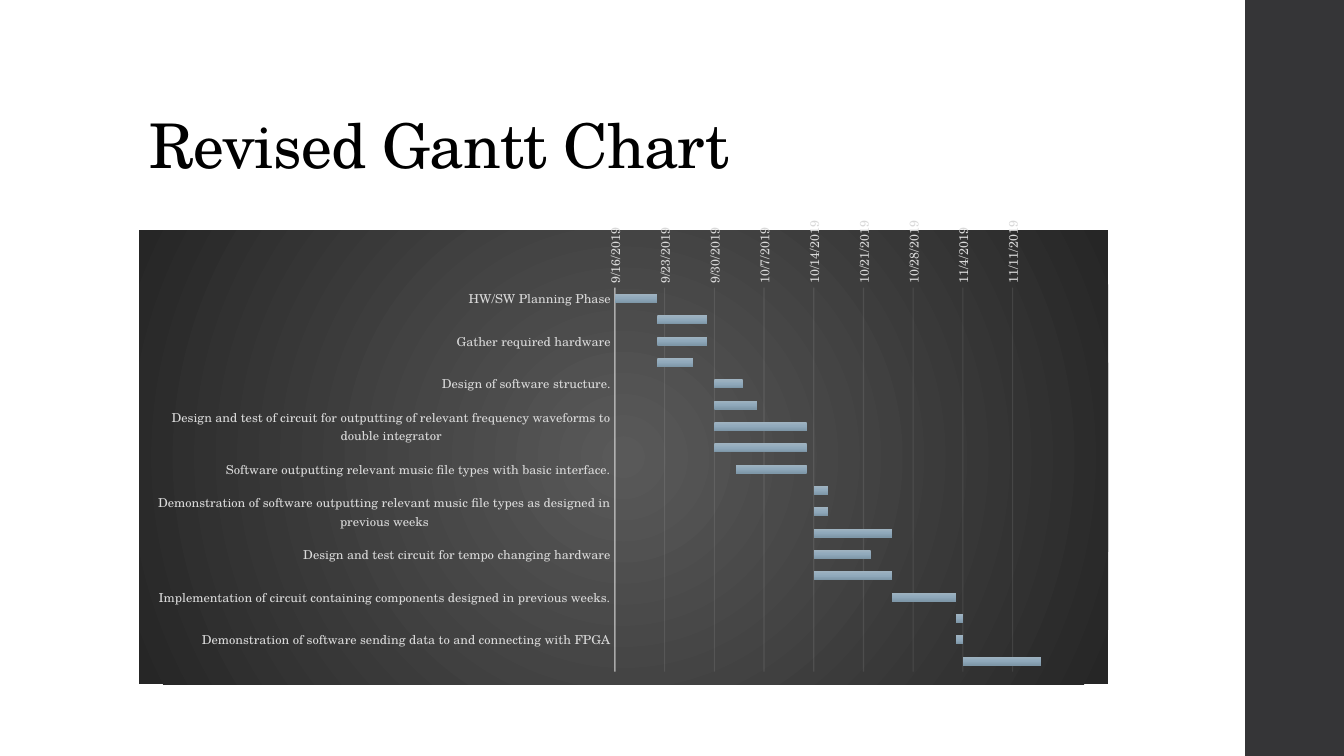
from typing import NamedTuple

import lxml.etree
import pptx
import pptx.chart.chart
import pptx.chart.data
import pptx.dml.color
import pptx.enum.chart
import pptx.enum.shapes
import pptx.enum.text
import pptx.oxml
import pptx.oxml.ns
import pptx.slide
import pptx.util

Inches = pptx.util.Inches
Pt = pptx.util.Pt
qn = pptx.oxml.ns.qn

FONT = "TeX Gyre Schola"
PROJECT_START = 43724  # 9/16/2019 as a day number
PROJECT_DAYS = 60


class Task(NamedTuple):
    offset: int  # days after the project start
    days: int
    label: str = ""


class Stop(NamedTuple):
    percent: int
    color: str


# Every second bar is unlabelled
TASKS = [
    Task(0, 6, "HW/SW Planning Phase"),
    Task(6, 7),
    Task(6, 7, "Gather required hardware"),
    Task(6, 5),
    Task(14, 4, "Design of software structure."),
    Task(14, 6),
    Task(14, 13, "Design and test of circuit for outputting of relevant frequency "
                 "waveforms to double integrator"),
    Task(14, 13),
    Task(17, 10, "Software outputting relevant music file types with basic interface."),
    Task(28, 2),
    Task(28, 2, "Demonstration of software outputting relevant music file types as "
                "designed in previous weeks"),
    Task(28, 11),
    Task(28, 8, "Design and test circuit for tempo changing hardware"),
    Task(28, 11),
    Task(39, 9, "Implementation of circuit containing components designed in "
                "previous weeks."),
    Task(48, 1),
    Task(48, 1, "Demonstration of software sending data to and connecting with FPGA"),
    Task(49, 11),
]

BACKDROP = [Stop(0, "595959"), Stop(100, "262626")]
BAR_SHADES = [Stop(0, "9FB3C1"), Stop(50, "90A9BB"), Stop(100, "7E97A8")]
RADIAL = ('<a:path path="circle">'
          '<a:fillToRect l="50000" t="50000" r="50000" b="50000"/></a:path>')
DOWNWARD = '<a:lin ang="5400000" scaled="0"/>'


def rgb(color: str) -> pptx.dml.color.RGBColor:
    return pptx.dml.color.RGBColor.from_string(color)


def gradient(stops: list[Stop], direction: str) -> lxml.etree._Element:
    shades = "".join(f'<a:gs pos="{stop.percent * 1000}">'
                     f'<a:srgbClr val="{stop.color}"/></a:gs>' for stop in stops)
    return pptx.oxml.parse_xml(
        f'<a:gradFill {pptx.oxml.ns.nsdecls("a")} rotWithShape="1">'
        f"<a:gsLst>{shades}</a:gsLst>{direction}</a:gradFill>")


def style_font(font, size: float, color: str) -> None:
    font.name = FONT
    font.size = Pt(size)
    font.color.rgb = rgb(color)


def style_line(line, width: float, color: str, opacity: int) -> None:
    line.width = Pt(width)
    line.color.rgb = rgb(color)
    swatch = next(line._ln.iter(qn("a:srgbClr")))
    lxml.etree.SubElement(swatch, qn("a:alpha")).set("val", str(opacity * 1000))


def add_side_band(slide: pptx.slide.Slide) -> None:
    band = slide.shapes.add_shape(pptx.enum.shapes.MSO_SHAPE.RECTANGLE,
                                  Inches(12.35), 0, Inches(0.98), Inches(7.5))
    band.shadow.inherit = False
    band.fill.solid()
    band.fill.fore_color.rgb = rgb("353537")
    band.line.fill.background()


def add_title(slide: pptx.slide.Slide, text: str) -> None:
    title = slide.shapes.add_textbox(Inches(1.38), Inches(0.4),
                                     Inches(10.6), Inches(1.45)).text_frame
    title.text = text
    title.word_wrap = True
    title.vertical_anchor = pptx.enum.text.MSO_ANCHOR.BOTTOM
    heading = title.paragraphs[0]
    heading.line_spacing = 0.9
    style_font(heading.runs[0].font, 44, "000000")
    heading.runs[0].font._element.set("spc", "-50")


def place_plot(chart: pptx.chart.chart.Chart,
               x: float, y: float, w: float, h: float) -> None:
    plot_area = chart._chartSpace.chart.plotArea
    for old in plot_area.findall(qn("c:layout")):
        plot_area.remove(old)
    plot_area.insert(0, pptx.oxml.parse_xml(
        f'<c:layout {pptx.oxml.ns.nsdecls("c")}><c:manualLayout>'
        '<c:layoutTarget val="inner"/><c:xMode val="edge"/><c:yMode val="edge"/>'
        f'<c:x val="{x}"/><c:y val="{y}"/><c:w val="{w}"/><c:h val="{h}"/>'
        "</c:manualLayout></c:layout>"))


def add_gantt(slide: pptx.slide.Slide, tasks: list[Task]) -> None:
    schedule = pptx.chart.data.CategoryChartData()
    schedule.categories = [task.label for task in tasks]
    schedule.add_series("Series 1", [PROJECT_START + task.offset for task in tasks])
    schedule.add_series("Series 2", [task.days for task in tasks])
    chart = slide.shapes.add_chart(
        pptx.enum.chart.XL_CHART_TYPE.BAR_STACKED, Inches(1.38), Inches(2.2),
        Inches(9.61), Inches(4.59), schedule).chart
    chart.has_legend = False
    chart.has_title = False
    style_font(chart.font, 10, "000000")
    place_plot(chart, 0.491, 0.127, 0.44, 0.845)

    # Dark radial background
    backdrop = pptx.oxml.parse_xml(f'<c:spPr {pptx.oxml.ns.nsdecls("c", "a")}>'
                                   "<a:ln><a:noFill/></a:ln></c:spPr>")
    backdrop.insert(0, gradient(BACKDROP, RADIAL))
    chart._chartSpace.chart.addnext(backdrop)

    # Invisible start offsets, shaded durations
    plot = chart.plots[0]
    plot.gap_width = 150
    plot.overlap = 100
    plot.vary_by_categories = False
    starts, durations = plot.series
    starts.format.fill.background()
    durations.format.fill.background()
    bar_fill = durations._element.spPr.find(qn("a:noFill"))
    durations._element.spPr.replace(bar_fill, gradient(BAR_SHADES, DOWNWARD))

    # Task and date axes
    task_axis, date_axis = chart.category_axis, chart.value_axis
    for axis in (task_axis, date_axis):
        axis.major_tick_mark = pptx.enum.chart.XL_TICK_MARK.NONE
        axis.minor_tick_mark = pptx.enum.chart.XL_TICK_MARK.NONE
        style_font(axis.tick_labels.font, 9, "D9D9D9")
    task_axis.reverse_order = True
    task_axis.has_major_gridlines = False
    style_line(task_axis.format.line, 1, "F2F2F2", 54)

    date_axis.minimum_scale = PROJECT_START
    date_axis.maximum_scale = PROJECT_START + PROJECT_DAYS
    date_axis.major_unit = 7
    date_axis.tick_labels.number_format = "m/d/yyyy"
    date_axis.tick_labels.number_format_is_linked = False
    date_axis.format.line.fill.background()
    date_axis.has_major_gridlines = True
    style_line(date_axis.major_gridlines.format.line, 0.75, "F2F2F2", 10)
    label_body = date_axis._element.find(qn("c:txPr")).find(qn("a:bodyPr"))
    label_body.set("rot", "-5400000")
    label_body.set("vert", "horz")


def main() -> None:
    deck = pptx.Presentation()
    deck.slide_width = Inches(13.33)
    deck.slide_height = Inches(7.5)
    slide = deck.slides.add_slide(deck.slide_layouts[6])
    add_side_band(slide)
    add_title(slide, "Revised Gantt Chart")
    add_gantt(slide, TASKS)
    deck.save("out.pptx")


if __name__ == "__main__":
    main()
